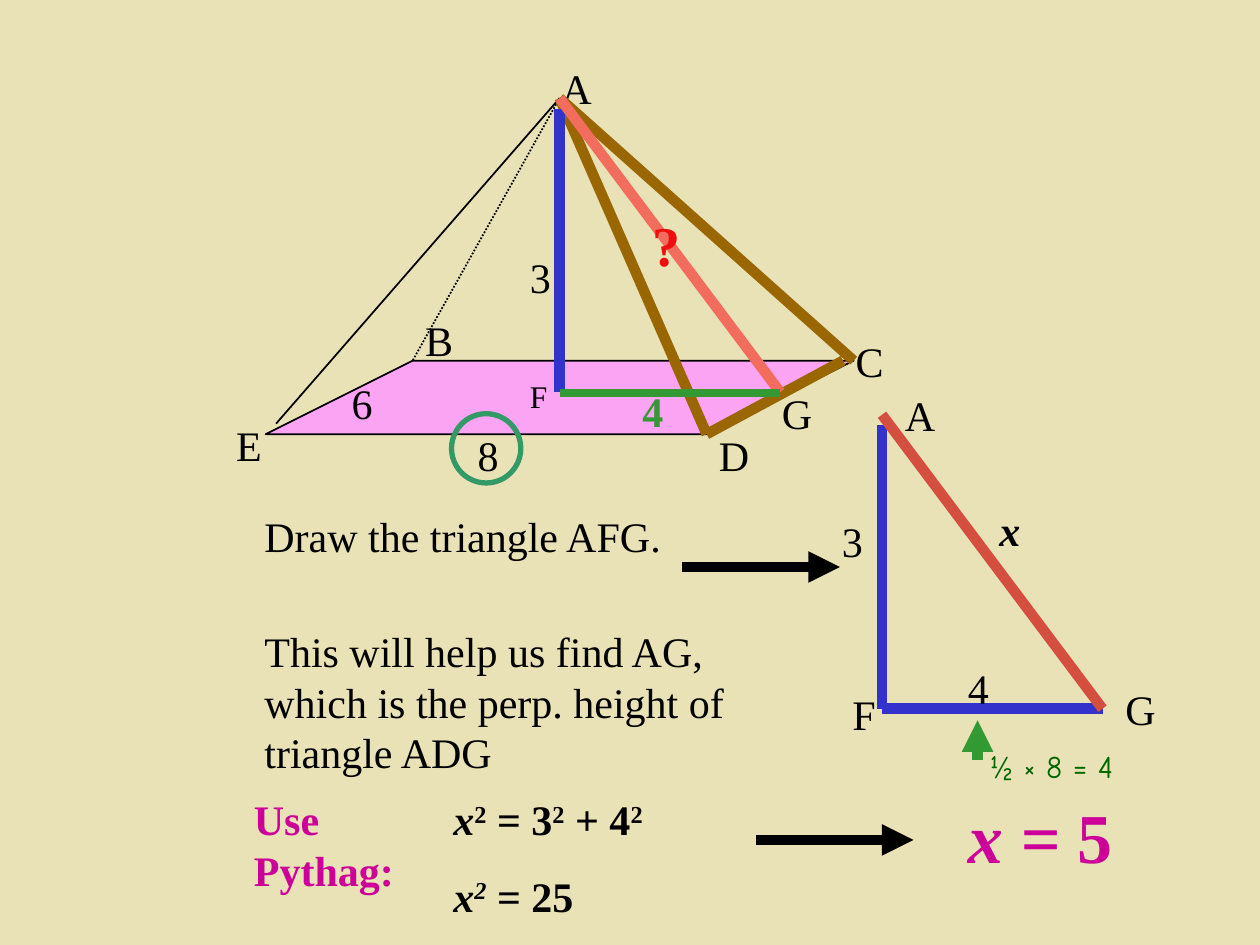
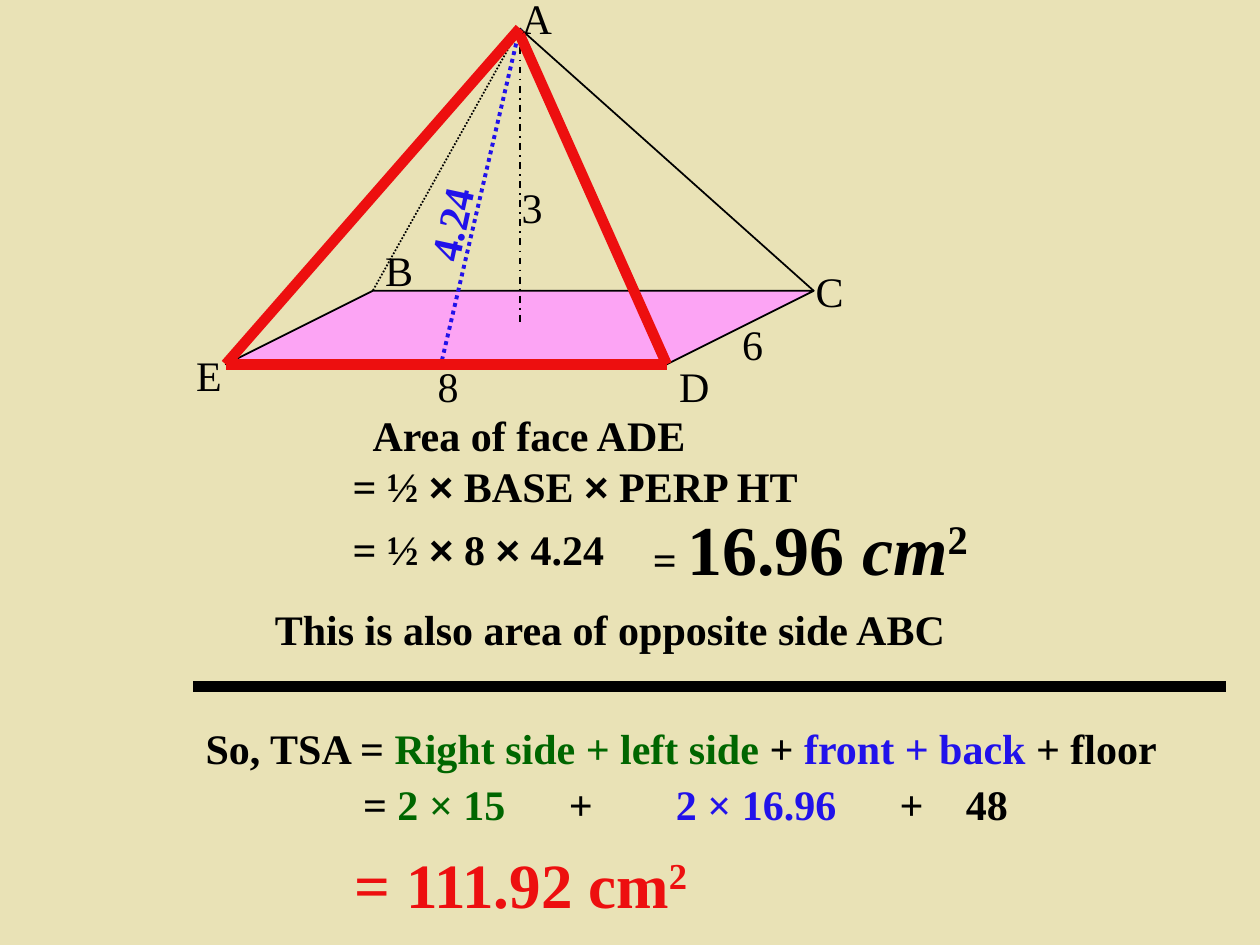
from lxml import etree
from pptx import Presentation
from pptx import util as u
from pptx.dml.color import RGBColor
from pptx.enum import dml, shapes
from pptx.oxml.ns import qn

SAND = RGBColor(0xE9, 0xE2, 0xB6)
BLACK = RGBColor(0, 0, 0)
PINK = RGBColor(0xFC, 0xA4, 0xF4)
MAGENTA = RGBColor(0xCC, 0x00, 0x99)
RED = RGBColor(0xED, 0x0F, 0x0F)
BLUE = RGBColor(0x21, 0x12, 0xEA)
INDIGO = RGBColor(0x33, 0x33, 0xCC)
BROWN = RGBColor(0x99, 0x66, 0x00)
SALMON = RGBColor(0xF3, 0x6D, 0x5F)
BRICK = RGBColor(0xD5, 0x4F, 0x41)
GREEN = RGBColor(0x33, 0x99, 0x33)
DARK_GREEN = RGBColor(0x00, 0x66, 0x00)
TEAL = RGBColor(0x33, 0x99, 0x66)
DOTS, DASH_DOT = dml.MSO_LINE.ROUND_DOT, dml.MSO_LINE.DASH_DOT

CELL = u.Inches(1) / 12  # grid of 120 columns and 90 rows
SUP, ITALIC = {"sup": True}, {"italic": True}
TIMES = ("×", {"name": "Arial"})


def write(page, left, top, width, height, *paras, size=24, color=BLACK,
          bold=False, name="Times New Roman", tabs=()):
    """Add a text box; each paragraph is a list of strings or (string, style) pairs."""
    box = page.shapes.add_textbox(*(round(n * CELL) for n in (left, top, width, height)))
    box.text_frame.word_wrap = True
    for number, spans in enumerate(paras):
        para = box.text_frame.add_paragraph() if number else box.text_frame.paragraphs[0]
        if tabs:
            stops = etree.SubElement(para._p.get_or_add_pPr(), qn("a:tabLst"))
            for stop in tabs:
                etree.SubElement(stops, qn("a:tab"), pos=str(round(stop * CELL)), algn="l")
        if number:
            para.space_before = u.Pt(15)
        font = para.font
        font.name, font.size, font.bold = name, u.Pt(size), bold
        font.color.rgb = color
        for item in spans:
            words, style = (item, {}) if isinstance(item, str) else item
            span = para.add_run()
            span.text = words
            if "name" in style:
                span.font.name = style["name"]
            if "size" in style:
                span.font.size = u.Pt(style["size"])
            if "color" in style:
                span.font.color.rgb = style["color"]
            if "italic" in style:
                span.font.italic = True
            if "sup" in style:
                span._r.get_or_add_rPr().set("baseline", "30000")
    return box


def draw(page, start, end, color=BLACK, weight=6, dash=None, arrow=False, origin=(0, 0)):
    """Join two grid points, counted from origin, with a straight line."""
    points = [round((point[axis] + origin[axis]) * CELL)
              for point in (start, end) for axis in (0, 1)]
    line = page.shapes.add_connector(shapes.MSO_CONNECTOR.STRAIGHT, *points)
    line.line.color.rgb = color
    line.line.width = u.Pt(weight)
    if dash:
        line.line.dash_style = dash
    if arrow:
        etree.SubElement(line.line._get_or_add_ln(), qn("a:tailEnd"), type="triangle")
    etree.SubElement(line._element.spPr, qn("a:effectLst"))


deck = Presentation()
deck.slide_width, deck.slide_height = u.Inches(10), u.Inches(7.5)

# Both pages: the pyramid, measured from its apex
APEX = (0, 0)
B, C, D, E = (-14, 25), (28, 25), (14, 32), (-28, 32)
CORNER_LABELS = {"E": (-32, 30), "A": (-1, -4), "D": (14, 31),
                 "C": (27, 22), "B": (-14, 20), "8": (-9, 31)}
ORIGINS = [(53.3, 9.35), (49.5, 2.7)]
pages = []
for x, y in ORIGINS:
    page = deck.slides.add_slide(deck.slide_layouts[6])
    page.background.fill.solid()
    page.background.fill.fore_color.rgb = SAND
    pages.append(page)
    base = page.shapes.add_shape(shapes.MSO_SHAPE.PARALLELOGRAM, round((x + E[0]) * CELL),
                                 round((y + B[1]) * CELL), round(56 * CELL), round(7 * CELL))
    base.adjustments[0] = 2
    base.shadow.inherit = False
    base.fill.solid()
    base.fill.fore_color.rgb = PINK
    base.line.color.rgb = BLACK
    base.line.width = u.Pt(1)
    for corner, dash in ((B, DOTS), ((-27, 31), None), (D, None), (C, None)):
        draw(page, APEX, corner, weight=1, dash=dash, origin=(x, y))
    for label, (column, row) in CORNER_LABELS.items():
        write(page, x + column, y + row, 10 if label == "8" else 7, 6, [label])

# Page 1: the sloping face and the triangle inside the pyramid
page, origin = pages[0], ORIGINS[0]
x, y = origin
for label, column, row, size in (("G", 20, 27, 24), ("3", -4, 14, 24),
                                 ("F", -4, 26, 18), ("6", -21, 26, 24)):
    write(page, x + column, y + row, 5, 6, [label], size=size)
for start, end, color, weight in (
        (APEX, D, BROWN, 6), (APEX, C, BROWN, 6), ((27, 25), D, BROWN, 6),
        ((0, 1), (0, 28), INDIGO, 6), (APEX, (21, 28), SALMON, 6),
        ((0, 28.1), (21, 28.1), GREEN, 4.5)):
    draw(page, start, end, color, weight, origin=origin)
write(page, x + 7.7, y + 10.1, 11, 7.7, ["?"], size=32, color=RED, bold=True)
write(page, x + 6.7, y + 26.8, 5.6, 6, ["4"], color=GREEN, bold=True)
ring = page.shapes.add_shape(shapes.MSO_SHAPE.OVAL, round(43 * CELL), round(39.4 * CELL),
                             round(6.6 * CELL), round(6.6 * CELL))
ring.shadow.inherit = False
ring.fill.background()
ring.line.color.rgb = TEAL
ring.line.width = u.Pt(3)

# Page 1: triangle AFG on its own
for start, end, color in (((84, 40.5), (84, 67.5), INDIGO), ((84, 67.5), (105, 67.5), INDIGO),
                          ((84, 39.5), (105, 67.5), BRICK)):
    draw(page, start, end, color)
for label, column, row in (("F", 80, 65), ("3", 79, 48.5), ("4", 91, 62.5),
                           ("A", 85, 36.5), ("G", 106, 64.5)):
    write(page, column, row, 5, 6, [label])
write(page, 94, 47.5, 10, 6, [("x", ITALIC)], bold=True)
write(page, 93.1, 70.6, 17, 4.8, ["½ × 8 = 4"], size=18, color=DARK_GREEN, name="Comic Neue")
draw(page, (93.1, 72.4), (93.1, 68.6), GREEN, arrow=True)

# Page 1: steps
write(page, 24, 48, 43, 6, ["Draw the triangle AFG."])
draw(page, (65, 54), (80, 54), arrow=True)
write(page, 24, 59, 51, 15.6,
      ["This will help us find AG, which is the perp. height of triangle ADG"])
write(page, 23, 75, 22, 10.8, ["Use Pythag:"], color=MAGENTA, bold=True)
write(page, 42, 75, 25, 13.3,
      [("x", ITALIC), ("2", SUP), " = 3", ("2", SUP), " + 4", ("2", SUP)],
      [("x", ITALIC), ("2", SUP | ITALIC), " = 25"], bold=True)
draw(page, (72, 80), (87, 80), arrow=True)
write(page, 91, 75, 18, 9.2, [("x = ", ITALIC), "5"], size=40, color=MAGENTA, bold=True)

# Page 2: front face ADE and its height
page, origin = pages[1], ORIGINS[1]
x, y = origin
write(page, x + 20, y + 27, 8, 6, ["6"])
write(page, x - 1, y + 14, 5, 6, ["3"])
draw(page, APEX, (-7.5, 32), BLUE, 2.25, DOTS, origin=origin)
height = write(page, x - 12, y + 14.7, 11.3, 6, ["4.24"], color=BLUE, bold=True)
height.rotation = 282.1
draw(page, APEX, (0, 28), weight=1, dash=DASH_DOT, origin=origin)
for start, end in ((APEX, E), (D, (0, 0.6)), (D, E)):
    draw(page, start, end, RED, origin=origin)

# Page 2: area of the face
write(page, 34.3, 38.4, 39, 6, ["Area of face ADE"], bold=True)
write(page, 32.4, 43.3, 48, 6, ["= ½ ", TIMES, " BASE ", TIMES, " PERP HT"], bold=True)
write(page, 32.4, 49.3, 27, 6, ["= ½ ", TIMES, " 8 ", TIMES, " 4.24"], bold=True)
write(page, 61, 47.6, 41, 9.2,
      [("= ", {"size": 24}), "16.96 ", ("cm", ITALIC), ("2", SUP)], size=40, bold=True)
write(page, 25, 56.9, 71, 6, ["This is also area of opposite side ABC"], bold=True)
draw(page, (18.4, 65.4), (116.8, 65.4))

# Page 2: total surface area
sides, faces = {"color": DARK_GREEN}, {"color": BLUE}
write(page, 18.4, 68.2, 97.3, 6,
      ["So, TSA = ", ("Right side + left side", sides), " + ", ("front + back", faces),
       " + floor"], bold=True)
write(page, 18.4, 73.6, 93.6, 6,
      ["\t= ", ("2 × 15", sides), "\t+\t", ("2 × 16.96", faces), "\t+\t48"],
      bold=True, tabs=(15, 34.6, 44.8, 66.1, 72.4))
write(page, 32.6, 79.9, 82, 8.4, ["= 111.92 cm", ("2", SUP)], size=36, color=RED, bold=True)

deck.save("out.pptx")
